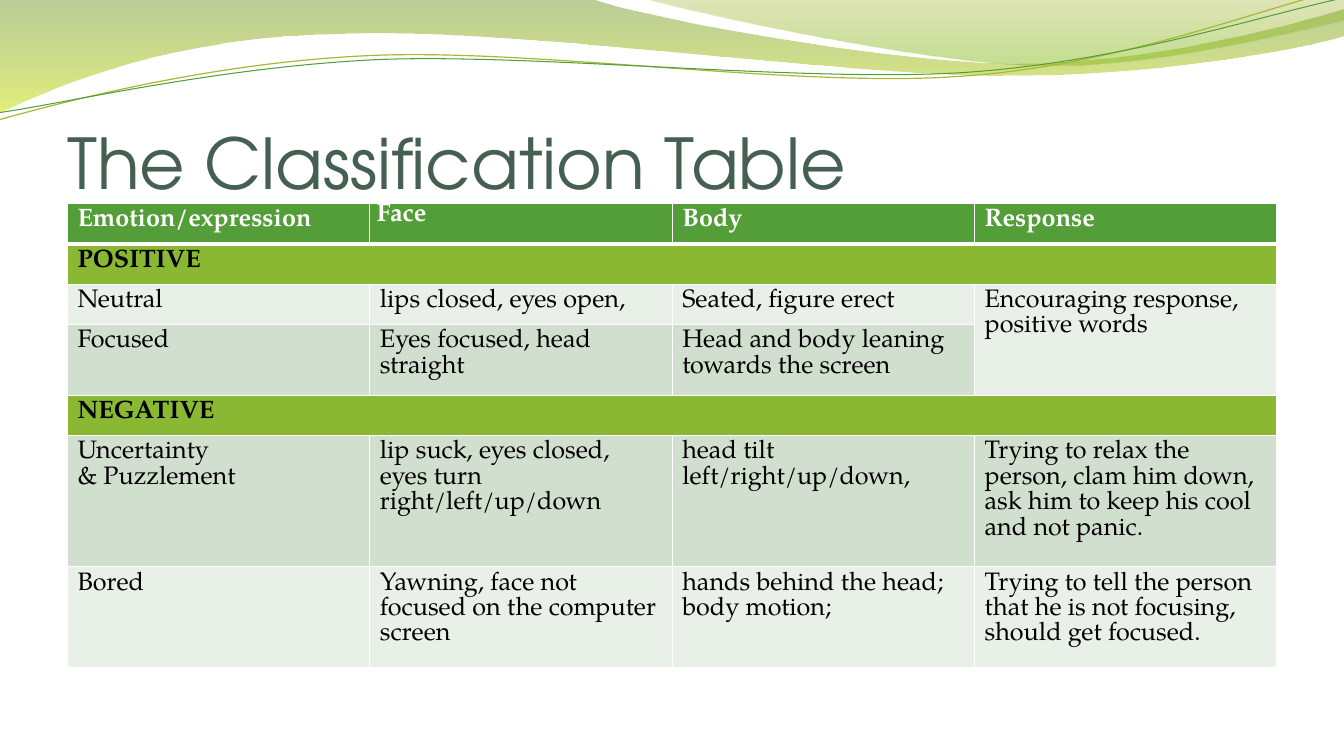
"""Build a slide with a classification table under a band of green waves."""
from dataclasses import dataclass

from lxml import etree
from pptx import Presentation
from pptx.dml.color import RGBColor
from pptx.enum.text import MSO_ANCHOR, PP_ALIGN
from pptx.oxml.ns import qn
from pptx.util import Cm, Pt

BOTTOM = MSO_ANCHOR.BOTTOM
JUSTIFY = PP_ALIGN.JUSTIFY
TITLE_FONT, TABLE_FONT = "TeX Gyre Adventor", "TeX Gyre Pagella"
WHITE, BLACK, SLATE = "FFFFFF", "000000", "455F51"
GREEN, LIME, PALE, SAGE = "549E39", "8AB833", "E9F0E8", "D1DFCE"
LEFT, TABLE_TOP, WIDTH = 1.7, 5.13, 30.48


@dataclass
class Stop:
    position: float
    color: str
    opacity: int


@dataclass
class Wave:
    start: tuple
    segments: list
    stops: tuple


@dataclass
class Strand:
    start: tuple
    segments: list
    color: str
    weight: float


@dataclass
class Row:
    height: float
    fill: str
    texts: tuple
    color: str = BLACK
    bold: bool = False


WAVES = [
    Wave((0, 0), [
        (14.91, -0.03),
        (16.1, 0.43, 22.45, 1.6, 25.68, 1.6),
        (28.88, 1.6, 32.44, 0.66, 33.86, 0.23),
        (33.88, 0.91),
        (33.3, 1.12, 29.44, 1.93, 25.25, 1.91),
        (21.04, 1.91, 12.93, 0.71, 8.71, 0.86),
        (4.37, 0.91, 1.55, 2.11, -0.05, 2.87),
    ], (Stop(0, "69921C", 45), Stop(1, "CCE10F", 55))),
    Wave((16.21, -0.03), [
        (17.25, 0.28, 23.09, 1.57, 26.04, 1.65),
        (28.96, 1.75, 32.56, 0.81, 33.86, 0.53),
        (33.86, 0),
    ], (Stop(0, "9BAA1A", 30), Stop(0.8, "81BA16", 45))),
]
STRANDS = [
    Strand((-0.03, 3.02), [
        (1.6, 2.57, 5.33, 1.57, 9.37, 1.4),
        (13.39, 1.22, 20.04, 2.21, 24.1, 1.93),
        (28.19, 1.68, 31.78, 0.2, 33.78, -0.25),
    ], "A9B733", 0.85),
    Strand((-0.03, 2.84), [
        (1.57, 2.62, 5.54, 1.68, 9.58, 1.5),
        (13.56, 1.35, 20.22, 2.08, 24.26, 1.83),
        (28.3, 1.57, 31.88, 0.36, 33.86, -0.05),
    ], GREEN, 0.75),
]
ROWS = [
    Row(0.94, GREEN, ("Emotion/expression", "Face", "Body", "Response"), WHITE, True),
    Row(0.94, LIME, ("POSITIVE", "", "", ""), bold=True),
    Row(0.94, PALE, ("Neutral", "lips closed, eyes open,", "Seated, figure erect",
                     "Encouraging response, positive words")),
    Row(1.65, SAGE, ("Focused", "Eyes focused, head straight",
                     "Head and body leaning towards the screen", "")),
    Row(0.94, LIME, ("NEGATIVE", "", "", ""), bold=True),
    Row(3.07, SAGE, ("Uncertainty\n& Puzzlement",
                     "lip suck, eyes closed, eyes turn right/left/up/down",
                     "head tilt left/right/up/down,",
                     "Trying to relax the person, clam him down, "
                     "ask him to keep his cool and not panic.")),
    Row(2.36, PALE, ("Bored", "Yawning, face not focused on the computer screen",
                     "hands behind the head; body motion;",
                     "Trying to tell the person that he is not focusing, "
                     "should get focused.")),
]
MERGES = [((1, 0), (1, 3)), ((2, 3), (3, 3)), ((4, 0), (4, 3))]


def rgb(value: str) -> RGBColor:
    return RGBColor.from_string(value)


def style_text(frame, font: str, size: float, color: str, bold: bool = False) -> None:
    for para in frame.paragraphs:
        for span in para.runs:
            span.font.name = font
            span.font.size = Pt(size)
            span.font.bold = bold
            span.font.color.rgb = rgb(color)


def bend(outline, segments: list) -> None:
    lines = iter(list(outline.element.spPr.iter(qn("a:lnTo"))))
    for segment in segments:
        first = next(lines)
        if len(segment) == 6:
            first.tag = qn("a:cubicBezTo")
            for _ in range(2):
                handle = next(lines)
                handle.getparent().remove(handle)
                first.append(handle[0])


def add_outline(page, start: tuple, segments: list, close: bool):
    points = [(Cm(segment[i]), Cm(segment[i + 1]))
              for segment in segments for i in range(0, len(segment), 2)]
    builder = page.shapes.build_freeform(Cm(start[0]), Cm(start[1]), scale=1.0)
    builder.add_line_segments(points, close=False)
    outline = builder.convert_to_shape()
    bend(outline, segments)
    if close:
        etree.SubElement(next(outline.element.spPr.iter(qn("a:path"))), qn("a:close"))
    outline.shadow.inherit = False
    return outline


def add_wave(page, wave: Wave) -> None:
    outline = add_outline(page, wave.start, wave.segments, True)
    outline.line.fill.background()
    outline.fill.gradient()
    outline.fill.gradient_angle = 270
    for target, stop in zip(outline.fill.gradient_stops, wave.stops):
        target.position = stop.position
        target.color.rgb = rgb(stop.color)
    for node, stop in zip(outline.element.spPr.iter(qn("a:srgbClr")), wave.stops):
        etree.SubElement(node, qn("a:alpha"), val=str(stop.opacity * 1000))


def add_strand(page, strand: Strand) -> None:
    outline = add_outline(page, strand.start, strand.segments, False)
    outline.fill.background()
    outline.line.color.rgb = rgb(strand.color)
    outline.line.width = Pt(strand.weight)


def add_title(page, text: str) -> None:
    box = page.shapes.add_textbox(Cm(LEFT), Cm(1.96), Cm(WIDTH), Cm(3.17))
    frame = box.text_frame
    frame.word_wrap = True
    frame.vertical_anchor = BOTTOM
    frame.margin_left = frame.margin_right = frame.margin_bottom = 0
    frame.text = text
    style_text(frame, TITLE_FONT, 50, SLATE)


def set_borders(cell, bottom: float) -> None:
    properties = cell._tc.get_or_add_tcPr()
    for side, weight in (("L", 1), ("R", 1), ("T", 1), ("B", bottom)):
        line = etree.SubElement(properties, qn(f"a:ln{side}"), w=str(Pt(weight)))
        fill = etree.SubElement(line, qn("a:solidFill"))
        etree.SubElement(fill, qn("a:srgbClr"), val=WHITE)


def fill_cell(cell, row: Row, text: str) -> None:
    cell.fill.solid()
    cell.fill.fore_color.rgb = rgb(row.fill)
    cell.text_frame.text = text
    style_text(cell.text_frame, TABLE_FONT, 18, row.color, row.bold)
    if not text:
        para = cell.text_frame.paragraphs[0]
        ending = etree.SubElement(para._p, qn("a:endParaRPr"), sz="800")
        etree.SubElement(ending, qn("a:latin"), typeface=TABLE_FONT)


def add_classification(page) -> None:
    height = sum(row.height for row in ROWS)
    table = page.shapes.add_table(len(ROWS), 4, Cm(LEFT), Cm(TABLE_TOP),
                                  Cm(WIDTH), Cm(height)).table
    for index, row in enumerate(ROWS):
        table.rows[index].height = Cm(row.height)
        for cell, text in zip(table.rows[index].cells, row.texts):
            set_borders(cell, 3 if index == 0 else 1)
            fill_cell(cell, row, text)
    for first, last in MERGES:
        table.cell(*first).merge(table.cell(*last))
    face = table.cell(0, 1)
    face.margin_left = face.margin_right = Cm(0.18)
    face.margin_top = face.margin_bottom = 0
    face.text_frame.paragraphs[0].alignment = JUSTIFY


def main() -> None:
    deck = Presentation()
    deck.slide_width, deck.slide_height = Cm(33.87), Cm(19.05)
    page = deck.slides.add_slide(deck.slide_layouts[6])
    for wave in WAVES:
        add_wave(page, wave)
    for strand in STRANDS:
        add_strand(page, strand)
    add_title(page, "The Classification Table")
    add_classification(page)
    deck.save("out.pptx")


if __name__ == "__main__":
    main()
